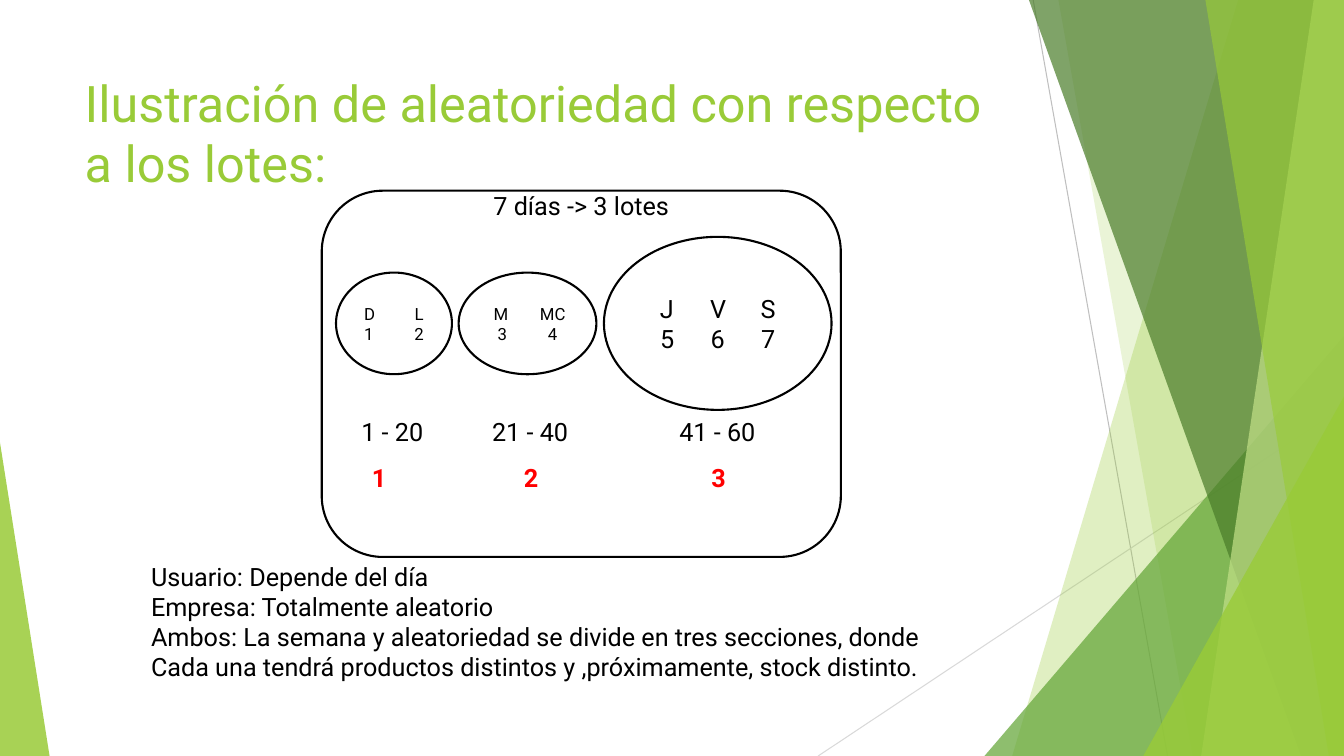
import dataclasses

import lxml.etree
import pptx
import pptx.dml.color
import pptx.enum.shapes
import pptx.enum.text
import pptx.oxml.ns
import pptx.util

SHAPES = pptx.enum.shapes.MSO_SHAPE
ALIGN = pptx.enum.text.PP_ALIGN
ANCHOR = pptx.enum.text.MSO_ANCHOR
COLUMNS, ROWS = 160, 90
CELL = pptx.util.Inches(7.5) // ROWS


@dataclasses.dataclass(frozen=True)
class Theme:
    font: str = "Roboto"
    title_size: int = 36
    body_size: int = 18
    small_size: int = 12
    ink: str = "000000"
    paper: str = "FFFFFF"
    mark: str = "FF0000"
    lime: str = "99CB38"
    pale: str = "C2E088"
    green: str = "63A537"
    forest: str = "4A7C29"
    line_dark: str = "BFBFBF"
    line_light: str = "D9D9D9"


@dataclasses.dataclass(frozen=True)
class Box:
    """A rectangle in grid columns and rows."""
    left: float
    top: float
    width: float
    height: float

    def inner(self, left, top, width, height):
        return Box(self.left + left, self.top + top, width, height)

    def lengths(self):
        return [cells(n) for n in (self.left, self.top, self.width, self.height)]


THEME = Theme()


def cells(count):
    return pptx.util.Emu(round(count * CELL))


def rgb(value):
    return pptx.dml.color.RGBColor.from_string(value)


def write(frame, lines, size, color=THEME.ink, align=ALIGN.LEFT, bold=False):
    frame.text = "\n".join(lines)
    for para in frame.paragraphs:
        para.alignment = align
        for span in para.runs:
            span.font.name = THEME.font
            span.font.size = pptx.util.Pt(size)
            span.font.bold = bold
            span.font.color.rgb = rgb(color)


def add_text(page, box, lines, size, wrap=True, **style):
    frame = page.shapes.add_textbox(*box.lengths()).text_frame
    frame.word_wrap = wrap
    write(frame, lines, size, **style)


def add_outline(page, kind, box):
    shape = page.shapes.add_shape(kind, *box.lengths())
    shape.shadow.inherit = False
    shape.fill.solid()
    shape.fill.fore_color.rgb = rgb(THEME.paper)
    shape.line.color.rgb = rgb(THEME.ink)
    shape.line.width = pptx.util.Pt(1.5)
    return shape


def tint(shape, color, opacity):
    """Fill without a border, at an opacity in percent."""
    shape.shadow.inherit = False
    shape.line.fill.background()
    shape.fill.solid()
    shape.fill.fore_color.rgb = rgb(color)
    tone = shape.fill._xPr.find(".//" + pptx.oxml.ns.qn("a:srgbClr"))
    alpha = lxml.etree.SubElement(tone, pptx.oxml.ns.qn("a:alpha"))
    alpha.set("val", str(opacity * 1000))


def add_ray(page, start, end, color):
    ray = page.shapes.add_connector(
        pptx.enum.shapes.MSO_CONNECTOR.STRAIGHT, *map(cells, start + end))
    ray.line.color.rgb = rgb(color)
    ray.line.width = pptx.util.Pt(0.75)
    lxml.etree.SubElement(ray._element.spPr, pptx.oxml.ns.qn("a:effectLst"))


def add_facet(page, box, top, bottom, color, opacity):
    """A band from a slanted left edge to the right side of the box."""
    right, floor = box.left + box.width, box.top + box.height
    builder = page.shapes.build_freeform(cells(top), cells(box.top), scale=1.0)
    corners = [(right, box.top), (right, floor), (bottom, floor)]
    builder.add_line_segments([tuple(map(cells, c)) for c in corners], close=True)
    tint(builder.convert_to_shape(), color, opacity)


def add_corner(page, box, apex, color, opacity):
    corner = page.shapes.add_shape(SHAPES.ISOSCELES_TRIANGLE, *box.lengths())
    corner.adjustments[0] = apex
    tint(corner, color, opacity)


def add_backdrop(page, box):
    right, floor = box.left + box.width, box.top + box.height
    add_ray(page, (123, 0), (139, floor), THEME.line_dark)
    add_ray(page, (right, 48.4), (97.4, floor), THEME.line_light)
    add_facet(page, box, 147.4, 120.5, THEME.lime, 30)
    add_facet(page, box, 126, 142, THEME.lime, 20)
    add_corner(page, box.inner(117.2, 40, 42.8, 50), 1, THEME.green, 72)
    add_facet(page, box, 122.5, 154.9, THEME.forest, 70)
    add_facet(page, box, 156.4, 143, THEME.pale, 70)
    add_facet(page, box, 143.5, 158.2, THEME.lime, 65)
    add_corner(page, box.inner(136.1, 47.2, 23.9, 42.8), 1, THEME.lime, 80)
    add_corner(page, box.inner(0, 52.7, 5.9, 37.3), 0, THEME.lime, 85)


@dataclasses.dataclass(frozen=True)
class Lot:
    left: float
    width: float
    height: float
    days: tuple
    size: int
    range_left: float
    range_text: str
    mark_left: float


LOTS = [
    Lot(1.7, 13.8, 12.1, ("D\tL", "1\t2"), THEME.small_size, 2.1, "1 - 20", 4.8),
    Lot(16.3, 16.4, 12.1, (" M\tMC", "3\t4"), THEME.small_size, 18.5, "21 - 40", 22.9),
    Lot(33.6, 27.1, 20.6, ("J\tV\tS", "5\t6\t7"), THEME.body_size, 40.8, "41 - 60", 45.2),
]


def add_lot(page, box, number, lot):
    top = 15.8 - lot.height / 2
    oval = add_outline(page, SHAPES.OVAL, box.inner(lot.left, top, lot.width, lot.height))
    oval.text_frame.vertical_anchor = ANCHOR.MIDDLE
    write(oval.text_frame, lot.days, lot.size, align=ALIGN.CENTER)
    for para in oval.text_frame.paragraphs:
        para._p.get_or_add_pPr().set("defTabSz", str(pptx.util.Inches(0.5)))
    add_text(page, box.inner(lot.range_left, 26.3, 12.6, 4.3), [lot.range_text],
             THEME.body_size, align=ALIGN.CENTER)
    add_text(page, box.inner(lot.mark_left, 31.8, 3.7, 4.3), [str(number)],
             THEME.body_size, wrap=False, color=THEME.mark, bold=True)


def add_lots_panel(page, box):
    panel = add_outline(page, SHAPES.ROUNDED_RECTANGLE, box)
    frame = panel.text_frame
    frame.vertical_anchor = ANCHOR.TOP
    frame.margin_top = pptx.util.Inches(-0.18)
    write(frame, ["7 días -> 3 lotes"], THEME.body_size, align=ALIGN.CENTER)
    for number, lot in enumerate(LOTS, 1):
        add_lot(page, box, number, lot)


def add_lots_slide(deck):
    page = deck.slides.add_slide(deck.slide_layouts[6])
    whole = Box(0, 0, COLUMNS, ROWS)
    add_backdrop(page, whole)
    add_text(page, whole.inner(8.9, 8, 112.8, 17.3),
             ["Ilustración de aleatoriedad con respecto\va los lotes:"],
             THEME.title_size, color=THEME.lime)
    add_text(page, whole.inner(16.8, 66.2, 97.1, 15.7), [
        "Usuario: Depende del día",
        "Empresa: Totalmente aleatorio",
        "Ambos: La semana y aleatoriedad se divide en tres secciones, donde",
        "Cada una tendrá productos distintos y ,próximamente, stock distinto.",
    ], THEME.body_size)
    add_lots_panel(page, whole.inner(38.3, 22.7, 61.8, 43.6))


def main():
    deck = pptx.Presentation()
    deck.slide_width, deck.slide_height = cells(COLUMNS), cells(ROWS)
    add_lots_slide(deck)
    deck.save("out.pptx")


if __name__ == "__main__":
    main()
